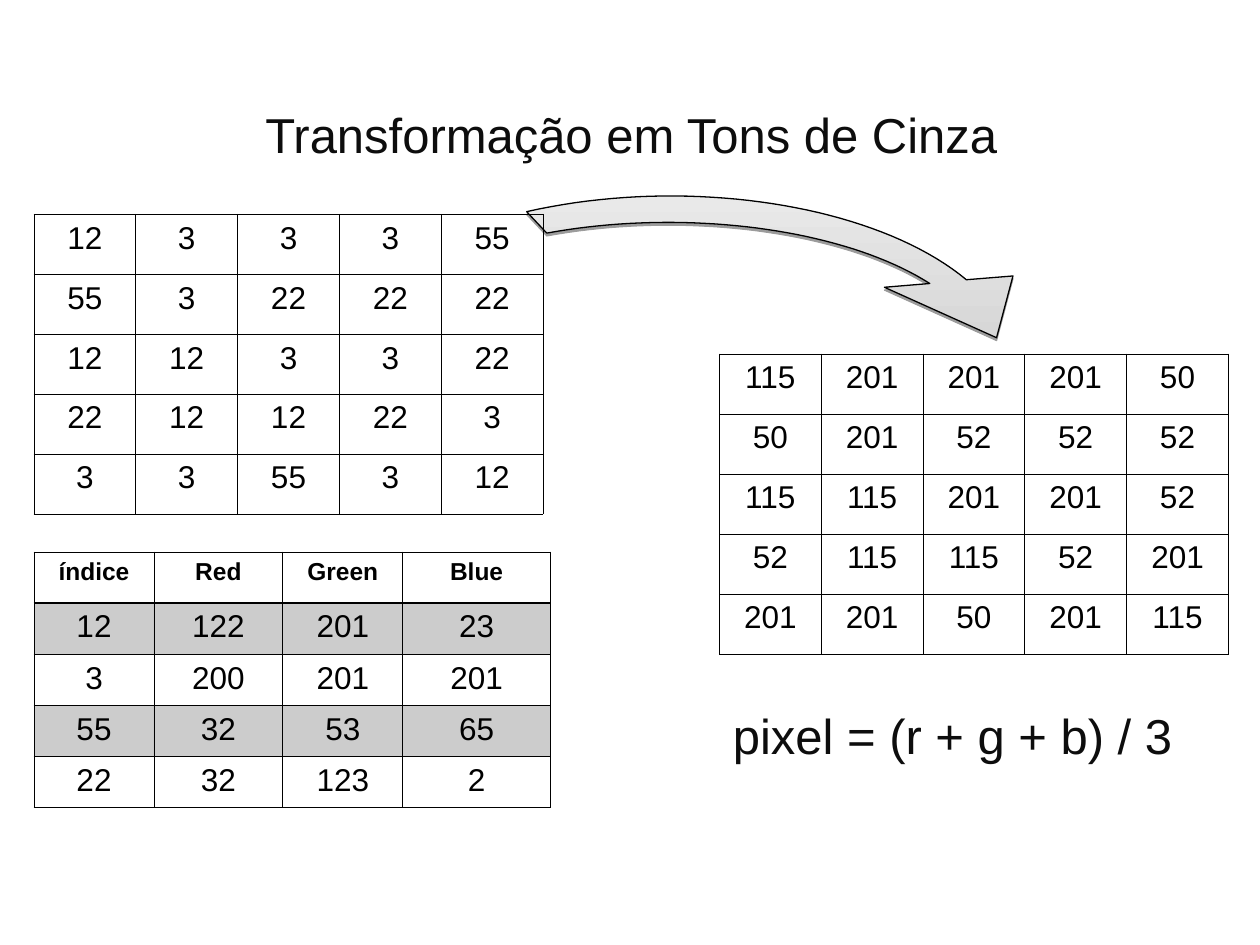
import pptx
import pptx.dml.color
import pptx.enum.text
import pptx.oxml
import pptx.oxml.ns
import pptx.util

Inches = pptx.util.Inches
Pt = pptx.util.Pt
COLORS = {"ink": "000000", "text": "0D0D0D", "arrow_top": "E9E9E9", "arrow_bottom": "D7D7D7"}
FONT = "Arial"
THIN, THICK = 0.45, 0.96

INDEXED = [
    [12, 3, 3, 3, 55],
    [55, 3, 22, 22, 22],
    [12, 12, 3, 3, 22],
    [22, 12, 12, 22, 3],
    [3, 3, 55, 3, 12],
]
PALETTE = [
    ["índice", "Red", "Green", "Blue"],
    [12, 122, 201, 23],
    [3, 200, 201, 201],
    [55, 32, 53, 65],
    [22, 32, 123, 2],
]
GRAYS = {12: 115, 3: 201, 55: 50, 22: 52}


def rgb(name):
    return pptx.dml.color.RGBColor.from_string(COLORS[name])


def xml(tag, attributes, body=""):
    namespace = pptx.oxml.ns.nsdecls("a")
    return pptx.oxml.parse_xml(f"<a:{tag} {namespace} {attributes}>{body}</a:{tag}>")


def format_paragraph(p, text, size, color, bold=False):
    p.text = str(text)
    p.alignment = pptx.enum.text.PP_ALIGN.CENTER
    p.font.name = FONT
    p.font.size = Pt(size)
    p.font.bold = bold
    p.font.color.rgb = rgb(color)


def format_cell(cell, value, header, shaded, top, bottom):
    format_paragraph(cell.text_frame.paragraphs[0], value, 14 if header else 18, "ink", header)
    tcPr = cell._tc.get_or_add_tcPr()
    line_fill = f'<a:solidFill><a:srgbClr val="{COLORS["ink"]}"/></a:solidFill>'
    for side, width in (("L", THIN), ("R", THIN), ("T", top), ("B", bottom)):
        tcPr.append(xml(f"ln{side}", f'w="{Pt(width)}"', line_fill))
    if shaded:
        cell.fill.solid()
        cell.fill.fore_color.rgb = rgb("ink")
        color = tcPr.find(pptx.oxml.ns.qn("a:solidFill"))[0]
        color.append(xml("alpha", 'val="20000"'))
    else:
        cell.fill.background()


def add_grid(s, box, rows, weights, has_header=False):
    left, top, width, height = box
    table = s.shapes.add_table(len(rows), len(weights), *map(Inches, box)).table
    table.first_row = has_header
    table.horz_banding = False
    for column, weight in zip(table.columns, weights):
        column.width = Inches(width * weight / sum(weights))
    for i, values in enumerate(rows):
        table.rows[i].height = Inches(height / len(rows))
        header = has_header and i == 0
        shaded = has_header and i % 2 == 1
        above = THICK if has_header and i == 1 else THIN
        below = THICK if header else THIN
        for j, value in enumerate(values):
            format_cell(table.cell(i, j), value, header, shaded, above, below)


def add_title(s, box, text):
    sp = s.shapes.title
    sp.left, sp.top, sp.width, sp.height = map(Inches, box)
    sp.text_frame.vertical_anchor = pptx.enum.text.MSO_ANCHOR.MIDDLE
    format_paragraph(sp.text_frame.paragraphs[0], text, 28, "text")


def add_formula(s, box, text):
    tf = s.shapes.add_textbox(*map(Inches, box)).text_frame
    tf.word_wrap = True
    tf.vertical_anchor = pptx.enum.text.MSO_ANCHOR.MIDDLE
    format_paragraph(tf.paragraphs[0], text, 28, "text")


def bezier(start, c1, c2, end, steps=40):
    for k in range(1, steps + 1):
        t = k / steps
        u = 1 - t
        yield tuple(u**3 * a + 3 * u * u * t * b + 3 * u * t * t * c + t**3 * d
                    for a, b, c, d in zip(start, c1, c2, end))


def add_arrow(s, left, top):
    tail = (0, 0.13)
    neck = (3.2, 0.7)
    points = [
        *bezier(tail, (1.27, -0.16), (2.77, 0.07), (3.49, 0.67)),
        (3.86, 0.64), (3.73, 1.13), (2.84, 0.73), neck,
        *bezier(neck, (2.51, 0.26), (1.25, 0.1), (0.16, 0.3)),
    ]
    builder = s.shapes.build_freeform(Inches(tail[0]), Inches(tail[1]))
    builder.add_line_segments([(Inches(x), Inches(y)) for x, y in points], close=True)
    sp = builder.convert_to_shape(Inches(left), Inches(top))
    sp.fill.gradient()
    sp.fill.gradient_angle = 270
    for stop, name in zip(sp.fill.gradient_stops, ("arrow_top", "arrow_bottom")):
        stop.color.rgb = rgb(name)
    sp.line.color.rgb = rgb("ink")
    sp.line.width = Pt(0.75)
    sp.shadow.inherit = False
    effects = sp._element.spPr.find(pptx.oxml.ns.qn("a:effectLst"))
    effects.append(xml("outerShdw", f'dist="{Pt(1.6)}" dir="5400000" rotWithShape="0"',
                       f'<a:srgbClr val="{COLORS["ink"]}"><a:alpha val="38000"/></a:srgbClr>'))


def main():
    prs = pptx.Presentation()
    prs.slide_width, prs.slide_height = Inches(10), Inches(7.5)
    s = prs.slides.add_slide(prs.slide_layouts[5])
    add_arrow(s, 4.18, 1.55)
    add_title(s, (0.51, 0.63, 9, 0.86), "Transformação em Tons de Cinza")
    add_grid(s, (0.27, 1.7, 4.04, 2.38), INDEXED, [1] * 5)
    add_grid(s, (0.27, 4.38, 4.1, 2.03), PALETTE, [0.95, 1.02, 0.95, 1.17], True)
    add_formula(s, (5.56, 5.4, 4, 0.86), "pixel = (r + g + b) / 3")
    gray_rows = [[GRAYS[index] for index in row] for row in INDEXED]
    add_grid(s, (5.71, 2.81, 4.04, 2.38), gray_rows, [1] * 5)
    prs.save("out.pptx")


if __name__ == "__main__":
    main()
